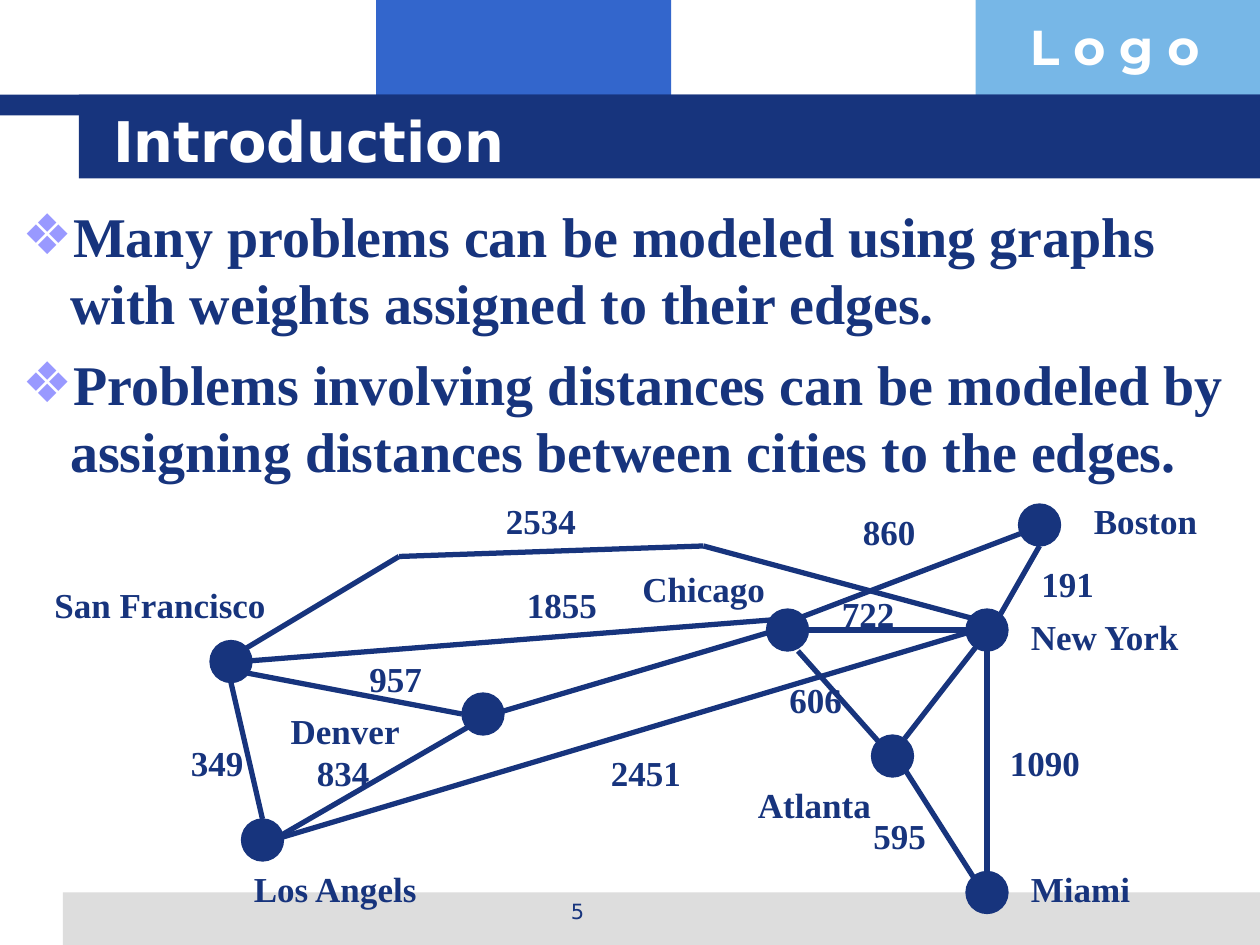
from lxml.etree import SubElement
from pptx import Presentation
from pptx.dml.color import RGBColor
from pptx.enum.shapes import MSO_CONNECTOR as Connector, MSO_SHAPE as Shape
from pptx.enum.text import MSO_ANCHOR as Anchor, PP_ALIGN as Align
from pptx.oxml.ns import qn
from pptx.util import Pt

NAVY, WHITE = "17347D", "FFFFFF"
SERIF, SANS = "Times New Roman", "DejaVu Sans"

# Page bands: left, top, width, height, colour
BANDS = [
    (215, 0, 168.5, 66.5, "3366CC"),
    (557.5, 0, 162.5, 66.5, "77B7E7"),
    (36, 510, 684, 30, "DDDDDD"),
    (0, 54, 720, 12, NAVY),
    (45, 54, 675, 48, NAVY),
]

BULLETS = [
    "Many problems can be modeled using graphs with weights assigned to their edges.",
    "Problems involving distances can be modeled by assigning distances between cities to the edges.",
]

# Cities: node left and top, label left, top and width
NODE_SIZE = 24
CITIES = {
    "San Francisco": (120, 366, 24, 330, 138),
    "Los Angels": (138, 468, 138, 492, 114),
    "Denver": (264, 396, 159, 402, 84),
    "Chicago": (438, 348, 360, 321, 96),
    "Boston": (582, 288, 618, 282, 78),
    "New York": (552, 348, 582, 348, 108),
    "Atlanta": (498, 420, 426, 444, 84),
    "Miami": (552, 498, 582, 492, 78),
}

# Routes between cities, each a chain of points
ROUTES = [
    [(583, 305), (457, 353)],
    [(594, 312), (570, 354)],
    [(552, 360), (462, 360)],
    [(559, 368), (517, 422)],
    [(456, 372), (504, 426)],
    [(516, 438), (558, 504)],
    [(564, 372), (564, 504)],
    [(282, 408), (444, 360)],
    [(138, 384), (264, 408)],
    [(156, 480), (270, 414)],
    [(132, 390), (150, 468)],
    [(156, 480), (558, 360)],
    [(138, 378), (444, 354)],
    [(138, 372), (228, 318), (402, 312), (558, 354)],
]

# Distances: text, left, top
DISTANCE_WIDTH = 60
DISTANCES = [
    ("349", 102, 420), ("834", 174, 426), ("957", 204, 372), ("1855", 294, 330),
    ("2534", 282, 282), ("860", 486, 288), ("191", 588, 318), ("722", 474, 335),
    ("2451", 342, 426), ("1090", 570, 420), ("595", 492, 462), ("606", 444, 384),
]


def color(value):
    return RGBColor.from_string(value)


def add_filled(page, kind, left, top, width, height, fill, line_width=None):
    shape = page.shapes.add_shape(kind, Pt(left), Pt(top), Pt(width), Pt(height))
    shape.shadow.inherit = False
    shape.fill.solid()
    shape.fill.fore_color.rgb = color(fill)
    if line_width:
        shape.line.color.rgb = color(fill)
        shape.line.width = Pt(line_width)
    else:
        shape.line.fill.background()


def add_line(page, start, end):
    line = page.shapes.add_connector(Connector.STRAIGHT, *map(Pt, start + end))
    line.line.color.rgb = color(NAVY)
    line.line.width = Pt(3)
    SubElement(line._element.spPr, qn("a:effectLst"))


def style(para, size, font, fill, bold):
    for span in para.runs:
        span.font.size = Pt(size)
        span.font.name = font
        span.font.bold = bold
        span.font.color.rgb = color(fill)


def add_text(page, text, left, top, width, height, size=20, font=SERIF, fill=NAVY, bold=True):
    box = page.shapes.add_textbox(Pt(left), Pt(top), Pt(width), Pt(height))
    frame = box.text_frame
    frame.word_wrap = True
    frame.text = text
    for para in frame.paragraphs:
        style(para, size, font, fill, bold)
    return frame


def add_bullet(para):
    props = para._p.get_or_add_pPr()
    props.set("marL", str(Pt(27)))
    props.set("indent", str(-Pt(27)))
    bullet_color = SubElement(props, qn("a:buClr"))
    SubElement(bullet_color, qn("a:srgbClr"), val="9999FF")
    SubElement(props, qn("a:buFont"), typeface=SANS)
    SubElement(props, qn("a:buChar"), char="❖")


def main():
    deck = Presentation()
    deck.slide_width, deck.slide_height = Pt(720), Pt(540)
    page = deck.slides.add_slide(deck.slide_layouts[6])

    # Bands, header and page number
    for left, top, width, height, fill in BANDS:
        add_filled(page, Shape.RECTANGLE, left, top, width, height, fill)
    add_text(page, "L o g o", 581.5, 6, 138.5, 41, 28, "Montserrat", WHITE)
    number = add_text(page, "5", 246, 510, 168, 25, 12, SANS, bold=False)
    number.paragraphs[0].alignment = Align.CENTER
    title = add_text(page, "Introduction", 57.5, 57.5, 614, 45, 32, SANS, WHITE)
    title.vertical_anchor = Anchor.MIDDLE

    # Bulleted statements
    body = add_text(page, "\n".join(BULLETS), 6, 111.5, 708, 176.5, 32)
    for index, para in enumerate(body.paragraphs):
        add_bullet(para)
        if index:
            para.space_before = Pt(8)

    # Weighted graph
    for route in ROUTES:
        for start, end in zip(route, route[1:]):
            add_line(page, start, end)
    for city, (left, top, label_left, label_top, label_width) in CITIES.items():
        add_filled(page, Shape.OVAL, left, top, NODE_SIZE, NODE_SIZE, NAVY, 0.75)
        add_text(page, city, label_left, label_top, label_width, 32)
    for distance, left, top in DISTANCES:
        add_text(page, distance, left, top, DISTANCE_WIDTH, 32)

    deck.save("out.pptx")


if __name__ == "__main__":
    main()
